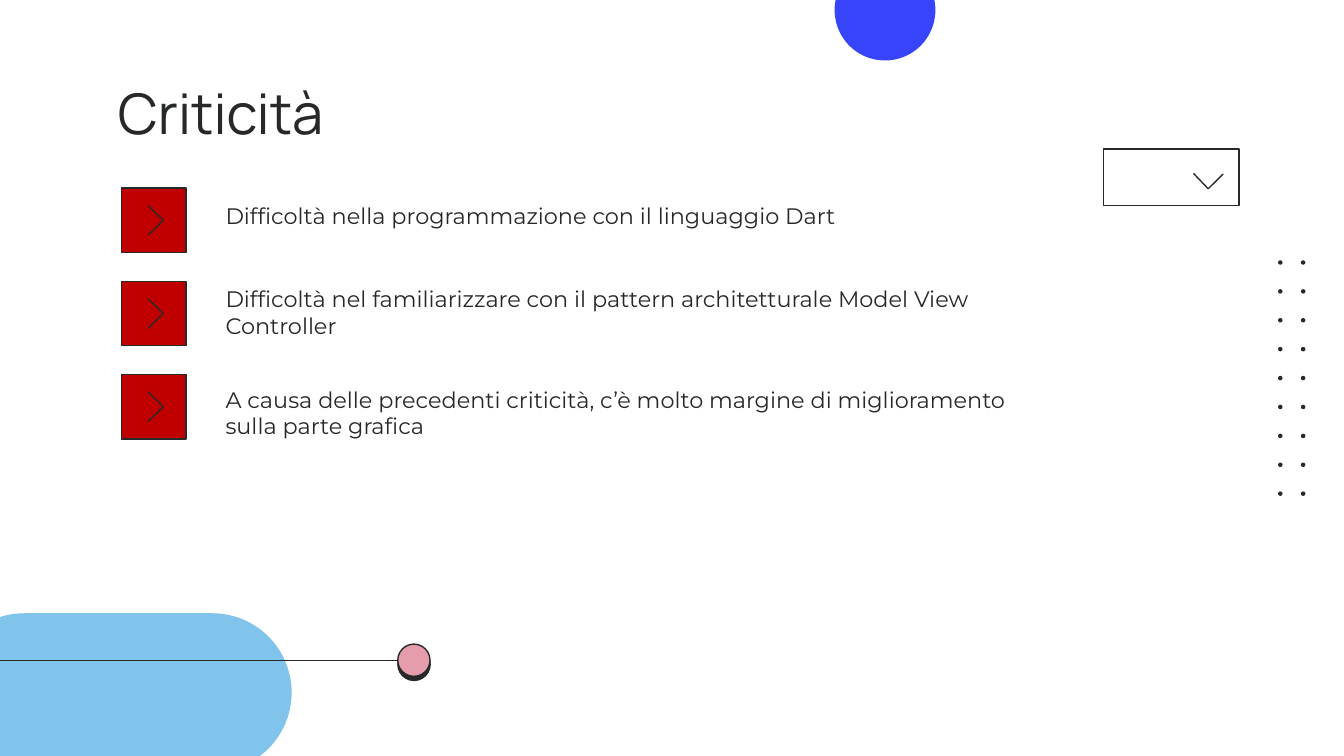
from dataclasses import dataclass
from itertools import product

from lxml import etree
from pptx import Presentation
from pptx.dml.color import RGBColor
from pptx.enum.shapes import MSO_CONNECTOR, MSO_SHAPE
from pptx.enum.text import MSO_ANCHOR, PP_ALIGN
from pptx.oxml.ns import qn
from pptx.util import Inches, Pt

STRAIGHT = MSO_CONNECTOR.STRAIGHT
RECT, OVAL, ROUNDED = MSO_SHAPE.RECTANGLE, MSO_SHAPE.OVAL, MSO_SHAPE.ROUNDED_RECTANGLE
TOP, LEFT = MSO_ANCHOR.TOP, PP_ALIGN.LEFT

INK, RED, PINK, SKY, BLUE = "262928", "C00000", "E59CAB", "80C3EB", "3844F9"
COLUMNS, ROWS = 100, 56.25  # square grid cells, a tenth of an inch wide
CELL = Inches(10) / COLUMNS


@dataclass
class Box:
    """Position and size in grid columns and rows."""
    col: float
    row: float
    cols: float
    rows: float

    def emu(self) -> list[int]:
        return [cells(v) for v in (self.col, self.row, self.cols, self.rows)]


@dataclass
class Issue:
    text: str
    text_row: float


ISSUES = [
    Issue("Difficoltà nella programmazione con il linguaggio Dart", 14.05),
    Issue("Difficoltà nel familiarizzare con il pattern architetturale "
          "Model View Controller", 20.23),
    Issue("A causa delle precedenti criticità, c’è molto margine di "
          "miglioramento sulla parte grafica", 27.7),
]
FIRST_MARKER_ROW, MARKER_PITCH, MARKER_SIZE = 14, 6.93, 4.8


def cells(count: float) -> int:
    return round(count * CELL)


def rgb(hex_color: str) -> RGBColor:
    return RGBColor.from_string(hex_color)


def add_figure(s, kind, box: Box, fill: str | None = None, line: str | None = None):
    sp = s.shapes.add_shape(kind, *box.emu())
    sp.shadow.inherit = False
    if fill:
        sp.fill.solid()
        sp.fill.fore_color.rgb = rgb(fill)
    else:
        sp.fill.background()
    if line:
        sp.line.color.rgb = rgb(line)
        sp.line.width = Pt(0.75)
    else:
        sp.line.fill.background()
    return sp


def add_line(s, start: tuple[float, float], end: tuple[float, float]) -> None:
    cxn = s.shapes.add_connector(STRAIGHT, *map(cells, (*start, *end)))
    cxn.line.color.rgb = rgb(INK)
    cxn.line.width = Pt(0.75)
    etree.SubElement(cxn._element.spPr, qn("a:effectLst"))


def add_drop_shadow(sp) -> None:
    effects = sp._element.spPr.find(qn("a:effectLst"))
    shadow = etree.SubElement(effects, qn("a:outerShdw"), dist=str(Pt(2.2)),
                              dir=str(88 * 60000), algn="bl", rotWithShape="0")
    etree.SubElement(shadow, qn("a:srgbClr"), val=INK)


def set_text(sp, text: str, font: str, size: float) -> None:
    tf = sp.text_frame
    tf.word_wrap = True
    tf.vertical_anchor = TOP
    tf.margin_left = tf.margin_right = tf.margin_top = tf.margin_bottom = cells(1)
    p = tf.paragraphs[0]
    p.text = text
    p.alignment = LEFT
    p.font.name = font
    p.font.size = Pt(size)
    p.font.color.rgb = rgb(INK)


def add_background(s) -> None:
    pill = add_figure(s, ROUNDED, Box(-4.1, 45.63, 25.8, 11.8), SKY)
    pill.adjustments[0] = 0.5
    add_figure(s, OVAL, Box(62.1, -3, 7.5, 7.5), BLUE)
    for column, row in product(range(2), range(9)):
        add_figure(s, OVAL, Box(95.1 + 1.7 * column, 19.37 + 2.15 * row, 0.33, 0.33), INK)


def add_slider(s) -> None:
    knob = add_figure(s, OVAL, Box(29.6, 47.93, 2.4, 2.4), PINK, INK)
    add_drop_shadow(knob)
    add_line(s, (29.6, 49.13), (-0.1, 49.13))


def add_dropdown(s) -> None:
    add_figure(s, RECT, Box(82.1, 11.1, 10.1, 4.2), line=INK)
    tip = (89.9, 14.05)
    add_line(s, (91, 12.95), tip)
    add_line(s, (88.8, 12.9), tip)


def add_issue(s, issue: Issue, row: float) -> None:
    add_figure(s, RECT, Box(9.03, row, MARKER_SIZE, MARKER_SIZE), RED, INK)
    tip = (12.15, row + MARKER_SIZE / 2)
    for rise in (-1.1, 1.1):
        add_line(s, (11.03, tip[1] + rise), tip)
    tb = s.shapes.add_textbox(*Box(15.8, issue.text_row, 64, 5.4).emu())
    set_text(tb, issue.text, "Montserrat", 12)


def main() -> None:
    prs = Presentation()
    prs.slide_width, prs.slide_height = cells(COLUMNS), cells(ROWS)
    s = prs.slides.add_slide(prs.slide_layouts[5])
    add_background(s)
    title = s.shapes.title
    title.left, title.top, title.width, title.height = Box(7.77, 4.83, 56.4, 6.3).emu()
    set_text(title, "Criticità", "Manrope", 30)
    add_slider(s)
    add_dropdown(s)
    for i, issue in enumerate(ISSUES):
        add_issue(s, issue, FIRST_MARKER_ROW + MARKER_PITCH * i)
    prs.save("out.pptx")


if __name__ == "__main__":
    main()
